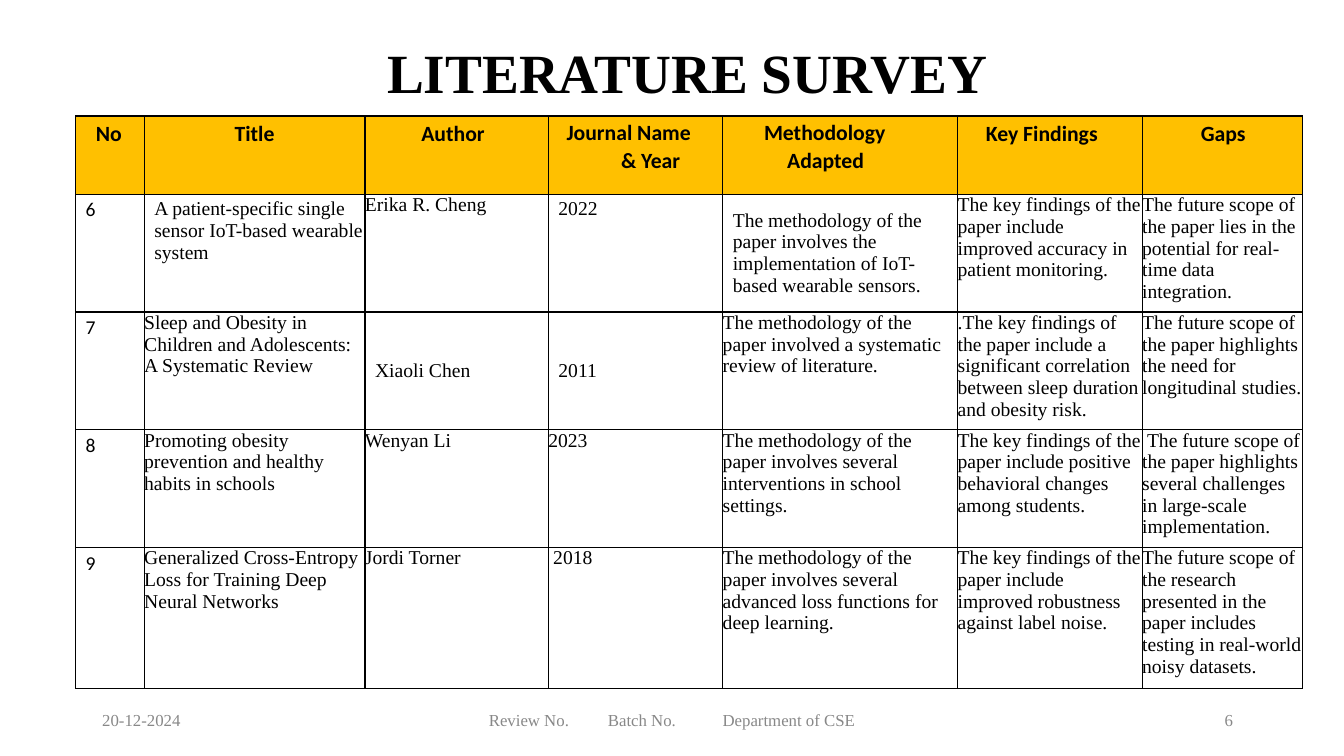
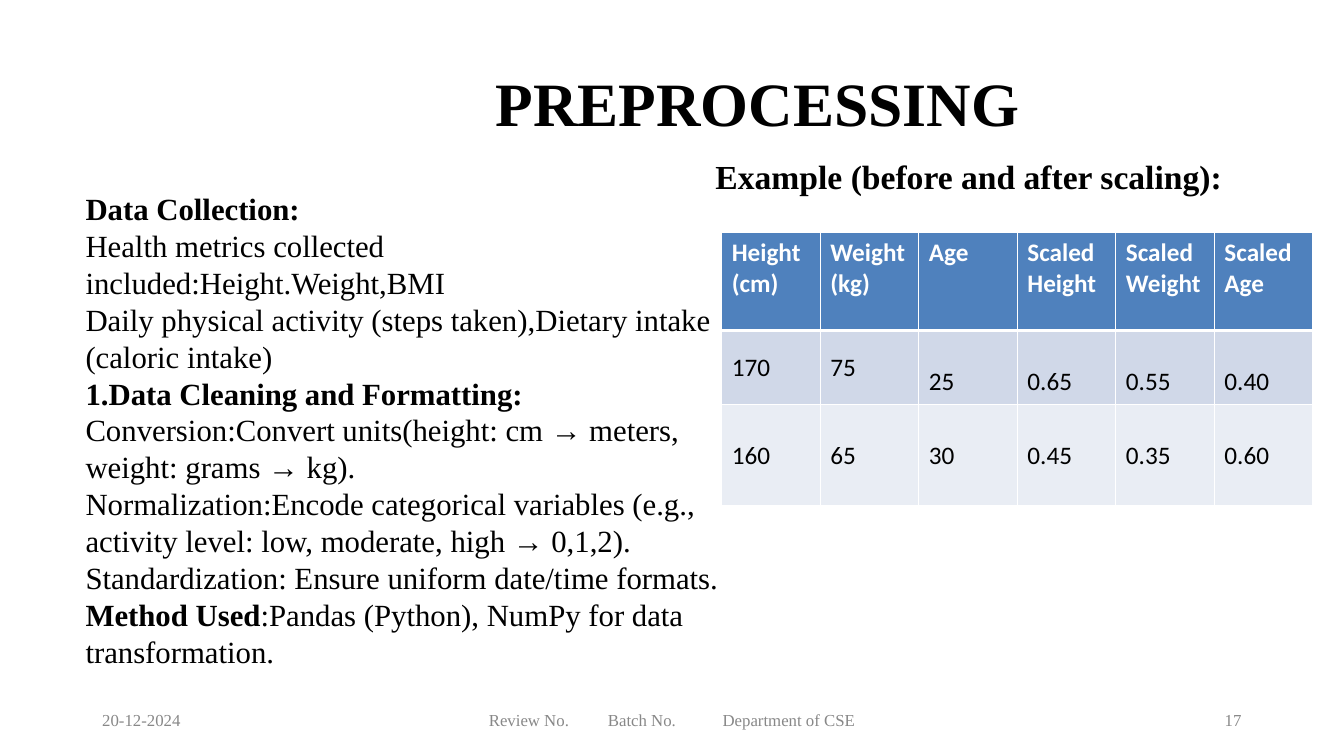
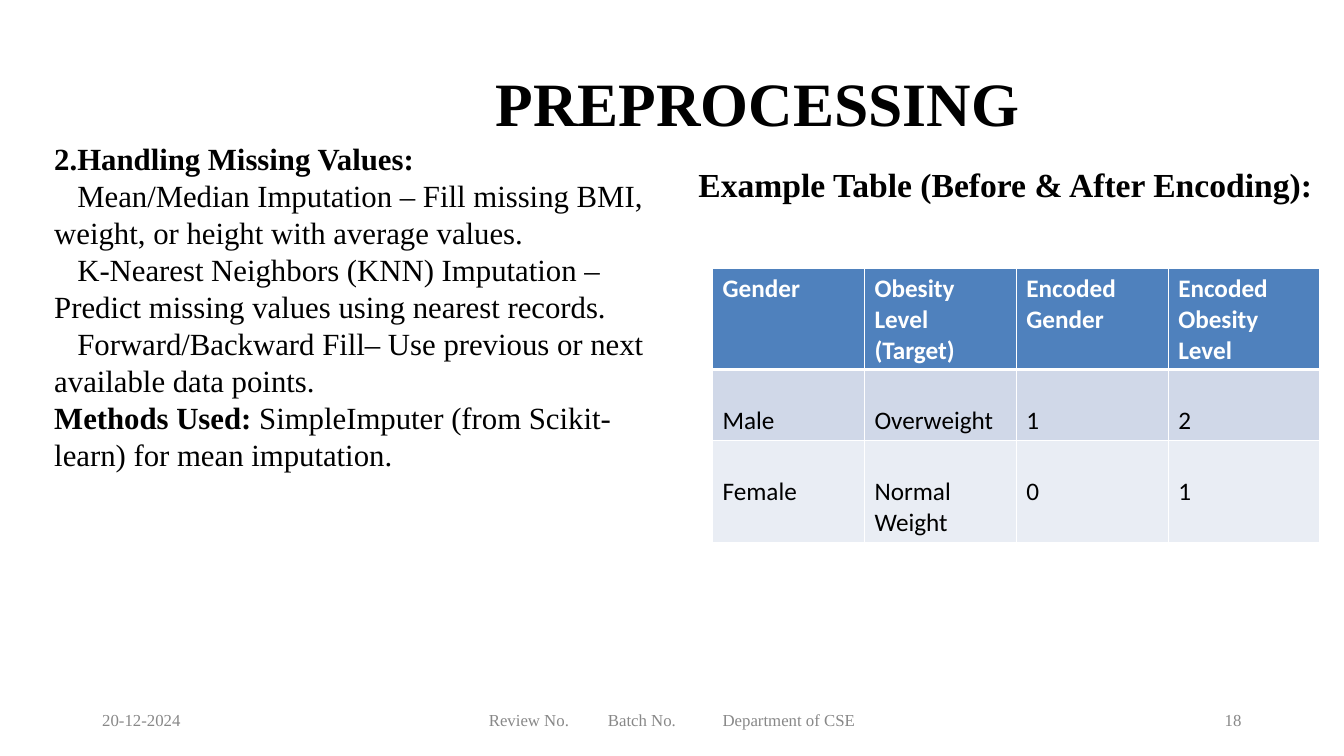
"""Build three project review slides: a literature survey and two preprocessing pages."""
from lxml import etree
from pptx import Presentation
from pptx import util as u
from pptx.dml import color
from pptx.enum import text
from pptx.oxml import ns

SERIF, SANS = "Times New Roman", "Calibri"
THEME = {
    "survey title": {"name": SERIF, "size": u.Pt(39.5), "rgb": "000000"},
    "title": {"name": SERIF, "size": u.Pt(44), "rgb": "000000"},
    "example": {"name": SERIF, "size": u.Pt(24), "rgb": "000000"},
    "body": {"name": SERIF, "size": u.Pt(22), "rgb": "000000"},
    "footer": {"name": SERIF, "size": u.Pt(12), "rgb": "888888"},
    "survey head": {"name": SANS, "size": u.Pt(15.5), "rgb": "000000"},
    "survey number": {"name": SANS, "size": u.Pt(14), "rgb": "000000"},
    "survey text": {"name": SERIF, "size": u.Pt(14), "rgb": "000000"},
    "example head": {"name": SANS, "size": u.Pt(18), "rgb": "FFFFFF"},
    "example text": {"name": SANS, "size": u.Pt(18), "rgb": "000000"},
    "survey fills": ["FFC000"] + ["FFFFFF"] * 4,
    "example fills": ["4F81BD", "D0D8E8", "E9EDF4"],
    "survey rule": "000000",
    "example rule": "FFFFFF",
}
DEFAULT_INSET = (7.2, 3.6, 7.2, 3.6)
NO_INSET = (0, 0, 0, 0)
TOP, MIDDLE = text.MSO_ANCHOR.TOP, text.MSO_ANCHOR.MIDDLE


def write(holder, lines, style, inset=NO_INSET, anchor=TOP, align=text.PP_ALIGN.LEFT, spacing=1.0):
    """Fill a text frame or cell with lines of (first-line indent, bold part, plain part)."""
    for side, gap in zip(("left", "top", "right", "bottom"), inset):
        setattr(holder, f"margin_{side}", u.Pt(gap))
    holder.vertical_anchor = anchor
    frame = getattr(holder, "text_frame", holder)
    frame.word_wrap = True
    for number, (indent, strong, plain) in enumerate(lines):
        line = frame.paragraphs[0] if number == 0 else frame.add_paragraph()
        line._p.get_or_add_pPr().set("indent", str(int(u.Pt(indent))))
        line.alignment, line.line_spacing = align, spacing
        for words, bold in ((strong, True), (plain, False)):
            if words:
                run = line.add_run()
                run.text = words
                run.font.bold = bold
                for key in ("name", "size"):
                    setattr(run.font, key, THEME[style][key])
                run.font.color.rgb = color.RGBColor.from_string(THEME[style]["rgb"])


def add_grid(slide, place, widths, heights, kind, head_rule=1):
    """Add a table with its fills and rules, and return it for writing."""
    grid = slide.shapes.add_table(len(heights), len(widths), *map(u.Pt, place),
                                  u.Pt(sum(widths)), u.Pt(sum(heights))).table
    grid.first_row = grid.horz_banding = False
    for parts, lengths in ((grid.columns, widths), (grid.rows, heights)):
        for part, length in zip(parts, lengths):
            setattr(part, "width" if parts is grid.columns else "height", u.Pt(length))
    for r, fill in enumerate(THEME[f"{kind} fills"]):
        for c in range(len(widths)):
            cell = grid.cell(r, c)
            borders = cell._tc.get_or_add_tcPr()
            for side in "LRTB":
                under_head = (r, side) in ((0, "B"), (1, "T"))
                rule = etree.SubElement(borders, ns.qn(f"a:ln{side}"),
                                        w=str(int(u.Pt(head_rule if under_head else 1))))
                paint = etree.SubElement(rule, ns.qn("a:solidFill"))
                etree.SubElement(paint, ns.qn("a:srgbClr"), val=THEME[f"{kind} rule"])
            cell.fill.solid()
            cell.fill.fore_color.rgb = color.RGBColor.from_string(fill)
    return grid


deck = Presentation()
deck.slide_width, deck.slide_height = u.Pt(960), u.Pt(540)

PAGES = [
    ("LITERATURE SURVEY", "survey title", (276.5, 27.2, 440, 48), "6"),
    ("PREPROCESSING", "title", (354.2, 46.7, 523, 53), "17"),
    ("PREPROCESSING", "title", (354.2, 46.7, 523, 53), "18"),
]
FOOTER = [(73, 60, "20-12-2024"), (349.2, 62, "Review No."), (434.2, 54, "Batch No."),
          (516.2, 100, "Department of CSE")]
slides = []
for title, style, place, page in PAGES:
    slide = deck.slides.add_slide(deck.slide_layouts[6])
    slides.append(slide)
    heading = slide.shapes.add_textbox(*map(u.Pt, place))
    write(heading.text_frame, [(0, title, "")], style)
    for left, width, words in FOOTER + [(874.8, 20, page)]:
        note = slide.shapes.add_textbox(*map(u.Pt, (left, 507.6, width, 15)))
        write(note.text_frame, [(0, "", words)], "footer", spacing=u.Pt(14.1))

SURVEY_HEADS = [
    [(14.4, "No", "")], [(0, "Title", "")], [(40.3, "Author", "")],
    [(13, "Journal Name", ""), (52, "& Year", "")],
    [(29.5, "Methodology", ""), (46, "Adapted", "")],
    [(20.2, "Key Findings", "")], [(1.5, "Gaps", "")],
]
PAPERS = [
    ("6", "A patient-specific single sensor IoT-based wearable system", "Erika R. Cheng", "2022",
     "The methodology of the paper involves the implementation of IoT-based wearable sensors.",
     "The key findings of the paper include improved accuracy in patient monitoring.",
     "The future scope of the paper lies in the potential for real-time data integration."),
    ("7", "Sleep and Obesity in Children and Adolescents: A Systematic Review", "Xiaoli Chen", "2011",
     "The methodology of the paper involved a systematic review of literature.",
     ".The key findings of the paper include a significant correlation between sleep duration "
     "and obesity risk.",
     "The future scope of the paper highlights the need for longitudinal studies."),
    ("8", "Promoting obesity prevention and healthy habits in schools", "Wenyan Li", "2023",
     "The methodology of the paper involves several interventions in school settings.",
     "The key findings of the paper include positive behavioral changes among students.",
     "The future scope of the paper highlights several challenges in large-scale implementation."),
    ("9", "Generalized Cross-Entropy Loss for Training Deep Neural Networks", "Jordi Torner", "2018",
     "The methodology of the paper involves several advanced loss functions for deep learning.",
     "The key findings of the paper include improved robustness against label noise.",
     "The future scope of the research presented in the paper includes testing in real-world "
     "noisy datasets."),
]
INSET_CELLS = {(1, 1), (1, 3)}
CENTRED_CELLS = {(1, 4), (2, 2), (2, 3)}
INDENTED_CELLS = {(3, 6), (4, 3)}

survey = add_grid(slides[0], (54, 82.8), [49, 157.7, 131, 124.6, 167.8, 131.8, 114.3],
                  [56, 84, 84, 84, 100.8], "survey")
for c, lines in enumerate(SURVEY_HEADS):
    wrapped = len(lines) > 1
    write(survey.cell(0, c), lines, "survey head", (0, 2.2 if wrapped else 3.6, 0, 0),
          align=text.PP_ALIGN.CENTER if c in (1, 6) else text.PP_ALIGN.LEFT,
          spacing=1.05 if wrapped else 1.0)
for r, paper in enumerate(PAPERS, 1):
    for c, words in enumerate(paper):
        centred = (r, c) in CENTRED_CELLS
        inset = (7.2, 2.9, 0, 0) if c == 0 or (r, c) in INSET_CELLS else NO_INSET
        write(survey.cell(r, c), [(3.5 if (r, c) in INDENTED_CELLS else 0, "", words)],
              "survey text" if c else "survey number", DEFAULT_INSET if centred else inset,
              MIDDLE if centred else TOP)

EXAMPLES = [
    {"slide": slides[1], "caption": "Example (before and after scaling):",
     "caption place": (504, 108, 396, 36), "grid place": (515.5, 166.3),
     "widths": [70.4] * 6, "heights": [69.8, 52.9, 72], "centred": {(1, 0), (1, 1)},
     "rows": [("Height (cm)", "Weight (kg)", "Age", "Scaled Height", "Scaled Weight", "Scaled Age"),
              ("170", "75", "25", "0.65", "0.55", "0.40"),
              ("160", "65", "30", "0.45", "0.35", "0.60")],
     "body place": (54, 131.8, 486, 353.5),
     "body": [
         (0, "Data Collection:", ""),
         (0, "", "Health metrics collected included:Height.Weight,BMI"),
         (0, "", "Daily physical activity (steps taken),Dietary intake (caloric intake)"),
         (0, "1.Data Cleaning and Formatting:", ""),
         (0, "", "Conversion:Convert units(height: cm → meters, weight: grams → kg)."),
         (0, "", "Normalization:Encode categorical variables (e.g., activity level: low, "
                 "moderate, high → 0,1,2)."),
         (0, "", "Standardization: Ensure uniform date/time formats."),
         (0, "Method Used", ":Pandas (Python), NumPy for data transformation.")]},
    {"slide": slides[2], "caption": "Example Table (Before & After Encoding):",
     "caption place": (491.8, 113.8, 468, 36), "grid place": (509, 192),
     "widths": [108.5] * 4, "heights": [71.7, 50.4, 71.7], "centred": set(),
     "rows": [("Gender", "Obesity Level (Target)", "Encoded Gender", "Encoded Obesity Level"),
              ("Male", "Overweight", "1", "2"),
              ("Female", "Normal Weight", "0", "1")],
     "body place": (31.7, 96.5, 436.3, 247),
     "body": [
         (0, "2.Handling Missing Values:", ""),
         (16.5, "", "Mean/Median Imputation – Fill missing BMI, weight, or height with average values."),
         (16.5, "", "K-Nearest Neighbors (KNN) Imputation – Predict missing values using "
                    "nearest records."),
         (16.5, "", "Forward/Backward Fill– Use previous or next available data points."),
         (0, "Methods Used: ", "SimpleImputer (from Scikit-learn) for mean imputation.")]},
]
LOWERED_INSET = (7.2, 25.6, 7.2, 3.6)
for example in EXAMPLES:
    slide = example["slide"]
    caption = slide.shapes.add_textbox(*map(u.Pt, example["caption place"]))
    write(caption.text_frame, [(0, example["caption"], "")], "example", DEFAULT_INSET)
    grid = add_grid(slide, example["grid place"], example["widths"], example["heights"],
                    "example", head_rule=3)
    for r, row in enumerate(example["rows"]):
        for c, words in enumerate(row):
            centred = (r, c) in example["centred"]
            if r == 0:
                write(grid.cell(r, c), [(0, words, "")], "example head", DEFAULT_INSET)
            else:
                write(grid.cell(r, c), [(0, "", words)], "example text",
                      DEFAULT_INSET if centred else LOWERED_INSET, MIDDLE if centred else TOP)
    body = slide.shapes.add_textbox(*map(u.Pt, example["body place"]))
    write(body.text_frame, example["body"], "body", DEFAULT_INSET)

deck.save("out.pptx")
